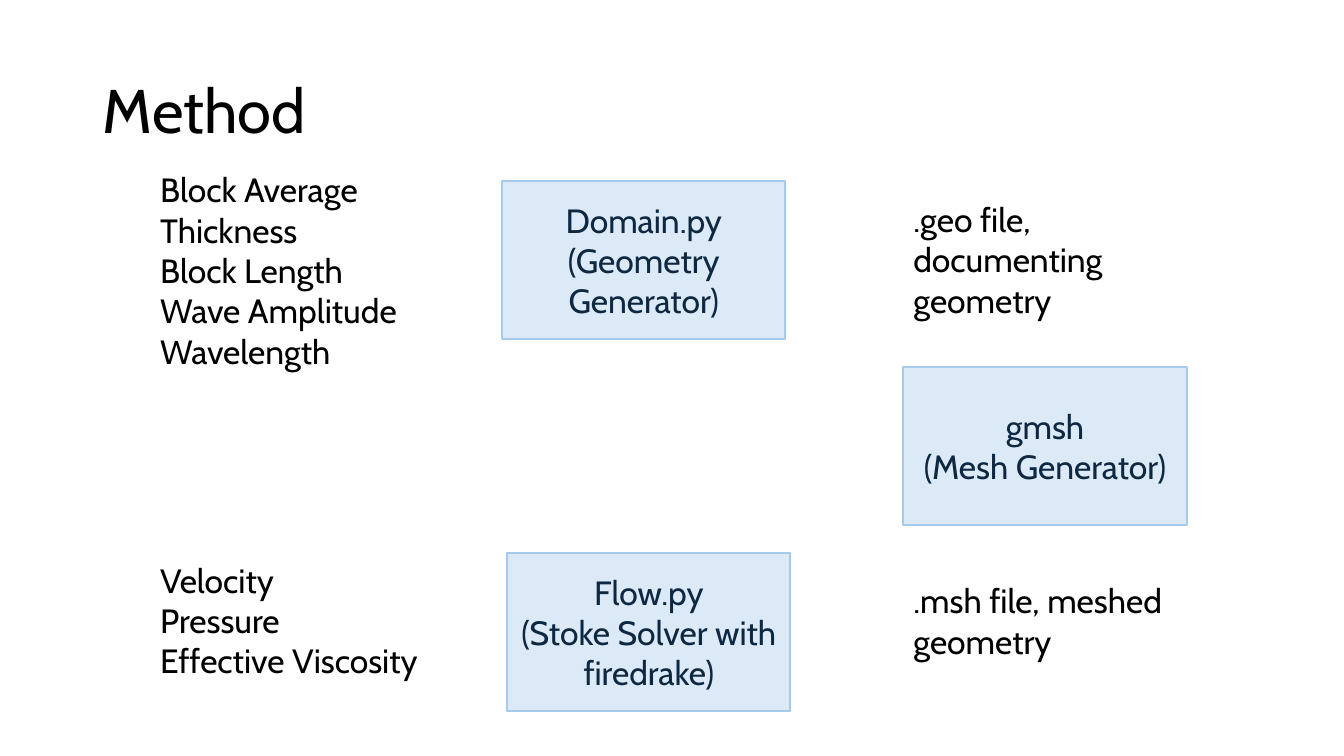
from dataclasses import dataclass

from pptx import Presentation
from pptx.dml.color import RGBColor
from pptx.enum.shapes import MSO_SHAPE
from pptx.enum.text import MSO_ANCHOR, MSO_AUTO_SIZE, PP_ALIGN
from pptx.util import Inches, Pt

RECTANGLE = MSO_SHAPE.RECTANGLE
LEFT, CENTER = PP_ALIGN.LEFT, PP_ALIGN.CENTER
TOP, MIDDLE = MSO_ANCHOR.TOP, MSO_ANCHOR.MIDDLE
NO_AUTOFIT, GROW = MSO_AUTO_SIZE.NONE, MSO_AUTO_SIZE.SHAPE_TO_FIT_TEXT
TITLE_ONLY = 5


@dataclass(frozen=True)
class Theme:
    font: str = "Cabin"
    title_size: int = 44
    body_size: int = 24
    text: str = "000000"
    step_text: str = "0E2841"
    step_fill: str = "DCEAF7"
    step_line: str = "A6CAEC"
    step_line_width: float = 1.5


THEME = Theme()

# Grid in inches: left edges of the columns, and centres of evenly spaced rows
COLUMNS = (1.49, 4.98, 8.96)
FIRST_ROW, ROW_PITCH = 2.58, 1.845
STEP_WIDTH, STEP_HEIGHT = 2.81, 1.56
NOTE_WIDTH, LINE_HEIGHT, NOTE_PADDING = 2.88, 0.404, 0.1


def color(value):
    return RGBColor.from_string(value)


def cell_bounds(column, row, width, height, shift_x=0, shift_y=0):
    """Bounds at a column's left edge, centred on a row."""
    left = COLUMNS[column] + shift_x
    top = FIRST_ROW + row * ROW_PITCH + shift_y - height / 2
    return Inches(left), Inches(top), Inches(width), Inches(height)


def write_lines(shape, lines, size, text_color, alignment, anchor, autofit):
    frame = shape.text_frame
    frame.word_wrap = True
    frame.auto_size = autofit
    frame.vertical_anchor = anchor
    frame.text = "\n".join(lines)
    for paragraph in frame.paragraphs:
        paragraph.alignment = alignment
        paragraph.font.name = THEME.font
        paragraph.font.size = Pt(size)
        paragraph.font.color.rgb = color(text_color)


def add_title(slide, text):
    title = slide.shapes.title
    title.left, title.top = Inches(0.92), Inches(0.4)
    title.width, title.height = Inches(11.5), Inches(1.45)
    write_lines(title, [text], THEME.title_size, THEME.text, LEFT, MIDDLE, NO_AUTOFIT)
    title.text_frame.paragraphs[0].line_spacing = 0.9


def add_step(slide, column, row, lines, shift_x=0):
    bounds = cell_bounds(column, row, STEP_WIDTH, STEP_HEIGHT, shift_x)
    step = slide.shapes.add_shape(RECTANGLE, *bounds)
    step.shadow.inherit = False
    step.fill.solid()
    step.fill.fore_color.rgb = color(THEME.step_fill)
    step.line.color.rgb = color(THEME.step_line)
    step.line.width = Pt(THEME.step_line_width)
    write_lines(step, lines, THEME.body_size, THEME.step_text, CENTER, MIDDLE, NO_AUTOFIT)


def add_note(slide, column, row, lines, line_count, shift_y=0):
    height = line_count * LINE_HEIGHT + NOTE_PADDING
    bounds = cell_bounds(column, row, NOTE_WIDTH, height, shift_y=shift_y)
    note = slide.shapes.add_textbox(*bounds)
    write_lines(note, lines, THEME.body_size, THEME.text, LEFT, TOP, GROW)


def main():
    presentation = Presentation()
    presentation.slide_width, presentation.slide_height = Inches(13.33), Inches(7.5)
    slide = presentation.slides.add_slide(presentation.slide_layouts[TITLE_ONLY])
    add_title(slide, "Method")

    # Programs
    add_step(slide, 1, 0, ["Domain.py", "(Geometry Generator)"])
    add_step(slide, 2, 1, ["gmsh", "(Mesh Generator)"])
    add_step(slide, 1, 2, ["Flow.py", "(Stoke Solver with firedrake)"], shift_x=0.05)

    # Inputs, intermediate files and results
    inputs = ["Block Average Thickness", "Block Length", "Wave Amplitude", "Wavelength"]
    results = ["Velocity", "Pressure", "Effective Viscosity"]
    add_note(slide, 0, 0, inputs, 5, shift_y=0.11)
    add_note(slide, 2, 0, [".geo file, documenting geometry"], 3)
    add_note(slide, 2, 2, [".msh file, meshed geometry"], 2, shift_y=-0.11)
    add_note(slide, 0, 2, results, 3, shift_y=-0.11)

    presentation.save("out.pptx")


if __name__ == "__main__":
    main()
